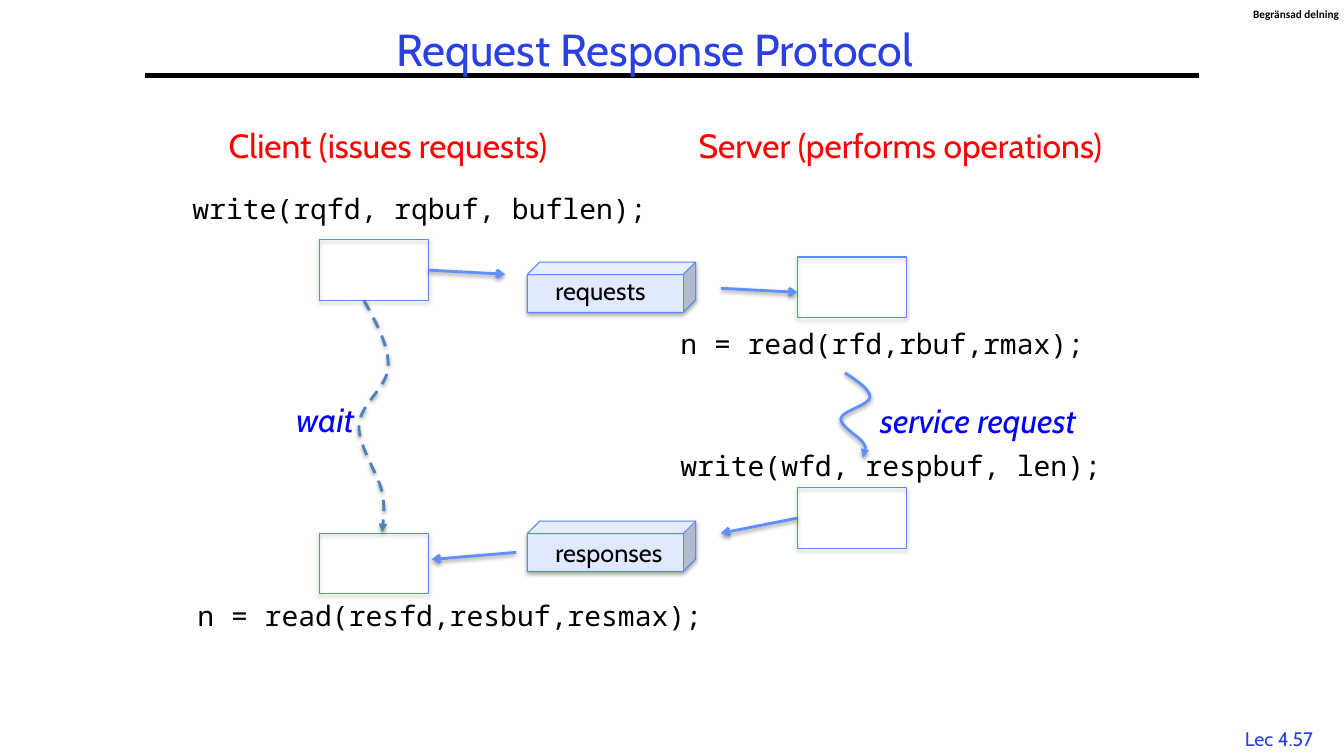
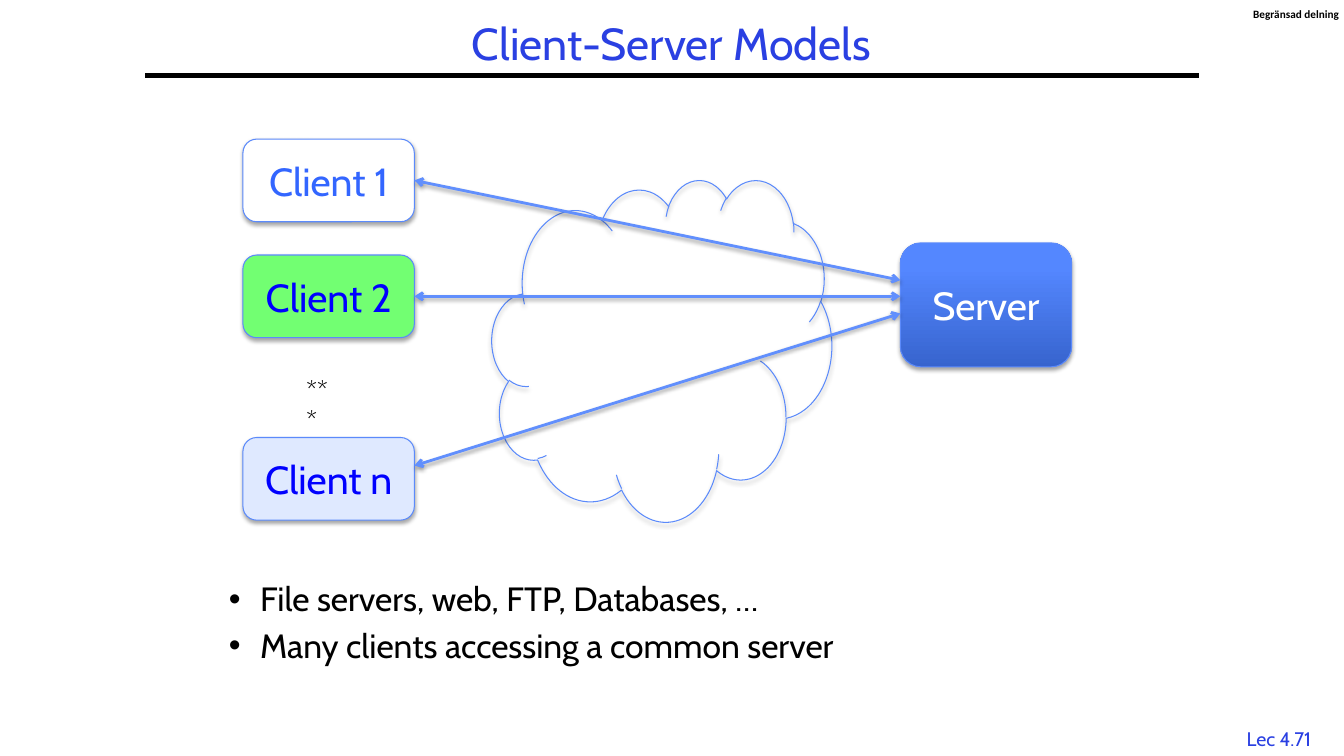
"""Build two lecture slides about request-response and client-server models."""
from dataclasses import dataclass
from typing import Optional

from lxml.etree import SubElement
from pptx import Presentation
from pptx.dml.color import RGBColor
from pptx.enum.dml import MSO_LINE
from pptx.enum.shapes import MSO_CONNECTOR, MSO_SHAPE
from pptx.enum.text import MSO_ANCHOR, MSO_AUTO_SIZE, PP_ALIGN
from pptx.oxml.ns import qn
from pptx.util import Inches, Pt

BLACK, WHITE, RED, BLUE = "000000", "FFFFFF", "FF0000", "0000FF"
TITLE_BLUE, OUTLINE, ARROW, WAIT_LINE = "2A40E2", "5B8AFB", "618FFD", "4F81BD"
PALE_BLUE, GREEN, CLIENT_BLUE = "DFE9FF", "72FF72", "3366FF"
SERVER_DARK, SERVER_LIGHT = "3764CE", "5487FF"
LEFT_SIDE, RIGHT_SIDE = 1, 3


@dataclass(frozen=True)
class Style:
    """Describe the look of a text."""
    size: float
    color: str = BLACK
    font: str = "Cabin"
    bold: bool = False
    italic: bool = False
    wrap: bool = False
    inset: bool = True
    align: PP_ALIGN = PP_ALIGN.LEFT


@dataclass(frozen=True)
class Area:
    """Hold a position and a size in inches."""
    left: float
    top: float
    width: float
    height: float

    def lengths(self) -> tuple:
        """Return the four values as lengths."""
        return tuple(map(Inches, (self.left, self.top, self.width, self.height)))


@dataclass(frozen=True)
class Label:
    """Describe a free-standing text."""
    text: str
    area: Area
    style: Style


@dataclass(frozen=True)
class Arrow:
    """Describe a straight arrow, optionally joined to a shape at its start."""
    start: tuple
    end: tuple
    source: Optional[str] = None
    side: int = RIGHT_SIDE
    double: bool = False


@dataclass(frozen=True)
class Client:
    """Describe a client box and its link to the server."""
    name: str
    top: float
    fill: str
    color: str
    link_start: float
    link_end: float
    joined: bool


TITLE = Style(32, TITLE_BLUE, align=PP_ALIGN.CENTER)
NUMBER = Style(14, TITLE_BLUE, align=PP_ALIGN.CENTER)
TAG = Style(8, font="Calibri", bold=True, wrap=True, inset=False)
CODE = Style(20, font="Noto Sans Mono", wrap=True)
HEADING = Style(24, RED)
ACTION = Style(24, BLUE, italic=True)
MESSAGE = Style(18)
DOTS = Style(18, wrap=True)
LIST = Style(24)

BUFFERS = {
    "client out": (3.17, 2.38),
    "server in": (7.91, 2.55),
    "client in": (3.17, 5.29),
    "server out": (7.91, 4.84),
}
MESSAGE_TOPS = (2.6, 5.17)
PROTOCOL_ARROWS = (
    Arrow((4.25, 2.68), (5.01, 2.72), "client out"),
    Arrow((7.15, 2.86), (7.91, 2.9)),
    Arrow((5.12, 5.48), (4.28, 5.55)),
    Arrow((7.91, 5.14), (7.15, 5.29), "server out", LEFT_SIDE),
)
PROTOCOL_LABELS = (
    Label("Client (issues requests)", Area(2.17, 1.19, 3.72, 0.5), HEADING),
    Label("Server (performs operations)", Area(6.83, 1.19, 4.51, 0.5), HEADING),
    Label("write(rqfd, rqbuf, buflen);", Area(1.81, 1.85, 4.91, 0.44), CODE),
    Label("n = read(rfd,rbuf,rmax);", Area(6.65, 3.19, 4.86, 0.44), CODE),
    Label("write(wfd, respbuf, len);", Area(6.65, 4.4, 4.91, 0.44), CODE),
    Label("n = read(resfd,resbuf,resmax);", Area(1.86, 5.89, 5.48, 0.44), CODE),
    Label("requests", Area(5.41, 2.68, 1.17, 0.4), MESSAGE),
    Label("responses", Area(5.41, 5.28, 1.37, 0.4), MESSAGE),
    Label("service request", Area(8.63, 3.92, 2.49, 0.5), ACTION),
    Label("wait", Area(2.84, 3.91, 0.8, 0.5), ACTION),
)
SERVICE_CURVE = (
    (8.38, 3.7), (8.51, 3.78), (8.63, 3.87), (8.63, 3.94),
    (8.62, 4.02), (8.35, 4.08), (8.34, 4.15),
    (8.33, 4.23), (8.52, 4.33), (8.56, 4.39),
    (8.6, 4.46), (8.56, 4.54), (8.56, 4.54),
)
WAIT_CURVE = (
    (3.61, 2.98), (3.73, 3.2), (3.86, 3.43), (3.85, 3.64),
    (3.84, 3.85), (3.57, 4.01), (3.56, 4.22),
    (3.55, 4.42), (3.75, 4.7), (3.79, 4.88),
    (3.82, 5.06), (3.79, 5.28), (3.79, 5.28),
)
CLIENTS = (
    Client("Client 1", 1.38, WHITE, CLIENT_BLUE, 1.79, 2.78, True),
    Client("Client 2", 2.53, GREEN, BLUE, 2.94, 2.94, True),
    Client("Client n", 4.34, PALE_BLUE, BLUE, 4.62, 3.11, False),
)
USES = ("File servers, web, FTP, Databases, …", "Many clients accessing a common server")


def rgb(value: str) -> RGBColor:
    """Turn a hex string into a colour."""
    return RGBColor.from_string(value)


def write(para, text: str, style: Style) -> None:
    """Add one formatted run to a paragraph."""
    para.alignment = style.align
    span = para.add_run()
    span.text = text
    span.font.name = style.font
    span.font.size = Pt(style.size)
    span.font.bold = style.bold
    span.font.italic = style.italic
    span.font.color.rgb = rgb(style.color)


def add_label(page, label: Label) -> None:
    """Add a text box."""
    frame = page.shapes.add_textbox(*label.area.lengths()).text_frame
    frame.word_wrap = label.style.wrap
    if not label.style.inset:
        frame.margin_left = frame.margin_right = 0
        frame.margin_top = frame.margin_bottom = 0
    write(frame.paragraphs[0], label.text, label.style)


def set_shadow(shape, opacity: int = 0, distance: float = 0) -> None:
    """Give a shape a soft shadow below it, or none at zero opacity."""
    effects = shape._element.spPr.get_or_add_effectLst()
    if opacity:
        shadow = SubElement(effects, qn("a:outerShdw"), blurRad=str(Pt(3.1)),
                            dist=str(Pt(distance)), dir="5400000", rotWithShape="0")
        color = SubElement(shadow, qn("a:srgbClr"), val=BLACK)
        SubElement(color, qn("a:alpha"), val=str(opacity * 1000))


def set_line(shape, color: str, width: float, head: str = "", tail: str = "",
             dashed: bool = False) -> None:
    """Format a line and its ends."""
    shape.line.color.rgb = rgb(color)
    shape.line.width = Pt(width)
    if dashed:
        shape.line.dash_style = MSO_LINE.DASH
    line = shape._element.spPr.get_or_add_ln()
    for tag, kind in (("a:headEnd", head), ("a:tailEnd", tail)):
        if kind:
            SubElement(line, qn(tag), type=kind)


def add_box(page, kind: MSO_SHAPE, area: Area, fill: str = ""):
    """Add an outlined preset shape with a shadow."""
    box = page.shapes.add_shape(kind, *area.lengths())
    if fill:
        box.fill.solid()
        box.fill.fore_color.rgb = rgb(fill)
    else:
        box.fill.background()
    set_line(box, OUTLINE, 0.75)
    set_shadow(box, 35, 1.8)
    return box


def add_node(page, text: str, area: Area, fill: str, color: str):
    """Add a rounded box with a centred name."""
    box = add_box(page, MSO_SHAPE.ROUNDED_RECTANGLE, area, fill)
    box.text_frame.vertical_anchor = MSO_ANCHOR.MIDDLE
    write(box.text_frame.paragraphs[0], text, Style(28, color, align=PP_ALIGN.CENTER))
    return box


def add_line(page, start: tuple, end: tuple):
    """Add a straight connector."""
    return page.shapes.add_connector(MSO_CONNECTOR.STRAIGHT, *map(Inches, start + end))


def add_arrow(page, arrow: Arrow, boxes: dict) -> None:
    """Add a straight arrow and join it to its source."""
    connector = add_line(page, arrow.start, arrow.end)
    if arrow.source:
        connector.begin_connect(boxes[arrow.source], arrow.side)
    set_line(connector, ARROW, 2, "arrow" if arrow.double else "", "arrow")
    set_shadow(connector, 38, 1.6)


def add_curve(page, points: tuple, color: str, dashed: bool = False) -> None:
    """Add a curved arrow from a start and triples of Bézier points."""
    start, *rest = [(Inches(x), Inches(y)) for x, y in points]
    builder = page.shapes.build_freeform(*start)
    builder.add_line_segments(rest, close=False)
    curve = builder.convert_to_shape()
    segments = curve._element.xpath(".//a:lnTo")
    outline = segments[0].getparent()
    for index in range(0, len(segments), 3):
        bend = SubElement(outline, qn("a:cubicBezTo"))
        for segment in segments[index:index + 3]:
            bend.append(segment[0])
            outline.remove(segment)
    curve.fill.background()
    set_line(curve, color, 2, tail="triangle", dashed=dashed)
    set_shadow(curve, 38, 1.6)


def place(holder, area: Area):
    """Move a placeholder and return its text frame."""
    holder.left, holder.top, holder.width, holder.height = area.lengths()
    holder.text_frame.auto_size = MSO_AUTO_SIZE.NONE
    return holder.text_frame


def add_page(deck, layout: int, title: str, area: Area, number: str):
    """Add a slide with the shared rule, tag, number and title."""
    page = deck.slides.add_slide(deck.slide_layouts[layout])
    add_label(page, Label(number, Area(12.2, 7.16, 0.97, 0.33), NUMBER))
    rule = add_line(page, (1.44, 0.75), (11.89, 0.75))
    set_line(rule, BLACK, 3)
    set_shadow(rule)
    add_label(page, Label("Begränsad delning", Area(12.43, 0.07, 0.86, 0.13), TAG))
    holder = page.shapes.title
    page.shapes._spTree.append(holder._element)
    frame = place(holder, area)
    frame.vertical_anchor = MSO_ANCHOR.MIDDLE
    frame.paragraphs[0].line_spacing = 0.9
    write(frame.paragraphs[0], title, TITLE)
    return page


def add_protocol_page(deck) -> None:
    """Draw the request and response exchange."""
    page = add_page(deck, 5, "Request Response Protocol", Area(2.17, 0.04, 8.65, 0.96), "Lec 4.57")
    for top in MESSAGE_TOPS:
        add_box(page, MSO_SHAPE.CUBE, Area(5.23, top, 1.67, 0.5), PALE_BLUE)
    buffers = {name: add_box(page, MSO_SHAPE.RECTANGLE, Area(*corner, 1.08, 0.6))
               for name, corner in BUFFERS.items()}
    for arrow in PROTOCOL_ARROWS:
        add_arrow(page, arrow, buffers)
    add_curve(page, SERVICE_CURVE, ARROW)
    add_curve(page, WAIT_CURVE, WAIT_LINE, dashed=True)
    for label in PROTOCOL_LABELS:
        add_label(page, label)


def add_models_page(deck) -> None:
    """Draw several clients that share one server."""
    page = add_page(deck, 1, "Client-Server Models", Area(1.44, 0.17, 10.44, 0.58), "Lec 4.71")
    frame = place(page.placeholders[1], Area(2.17, 5.73, 9, 1.16))
    for index, use in enumerate(USES):
        para = frame.add_paragraph() if index else frame.paragraphs[0]
        para.line_spacing = 0.9
        para.space_before = Pt(7.2 if index else 0)
        properties = para._p.get_or_add_pPr()
        properties.set("marL", str(Inches(0.31)))
        properties.set("indent", str(Inches(-0.31)))
        write(para, use, LIST)
    add_box(page, MSO_SHAPE.CLOUD, Area(4.88, 1.78, 3.37, 3.39))
    server = add_node(page, "Server", Area(8.93, 2.41, 1.7, 1.23), SERVER_LIGHT, WHITE)
    server.fill.gradient()
    server.fill.gradient_angle = 90
    stops = ((0, SERVER_DARK), (0.8, SERVER_LIGHT))
    for stop, (position, color) in zip(server.fill.gradient_stops, stops):
        stop.position = position
        stop.color.rgb = rgb(color)
    boxes = {client.name: add_node(page, client.name, Area(2.41, client.top, 1.7, 0.82),
                                   client.fill, client.color) for client in CLIENTS}
    add_label(page, Label("***", Area(2.94, 3.66, 0.5, 0.4), DOTS))
    for client in CLIENTS:
        source = client.name if client.joined else None
        add_arrow(page, Arrow((4.11, client.link_start), (8.93, client.link_end),
                              source, double=True), boxes)


def main() -> None:
    """Build and save the deck."""
    deck = Presentation()
    deck.slide_width, deck.slide_height = Inches(13.33), Inches(7.5)
    add_protocol_page(deck)
    add_models_page(deck)
    deck.save("out.pptx")


if __name__ == "__main__":
    main()
